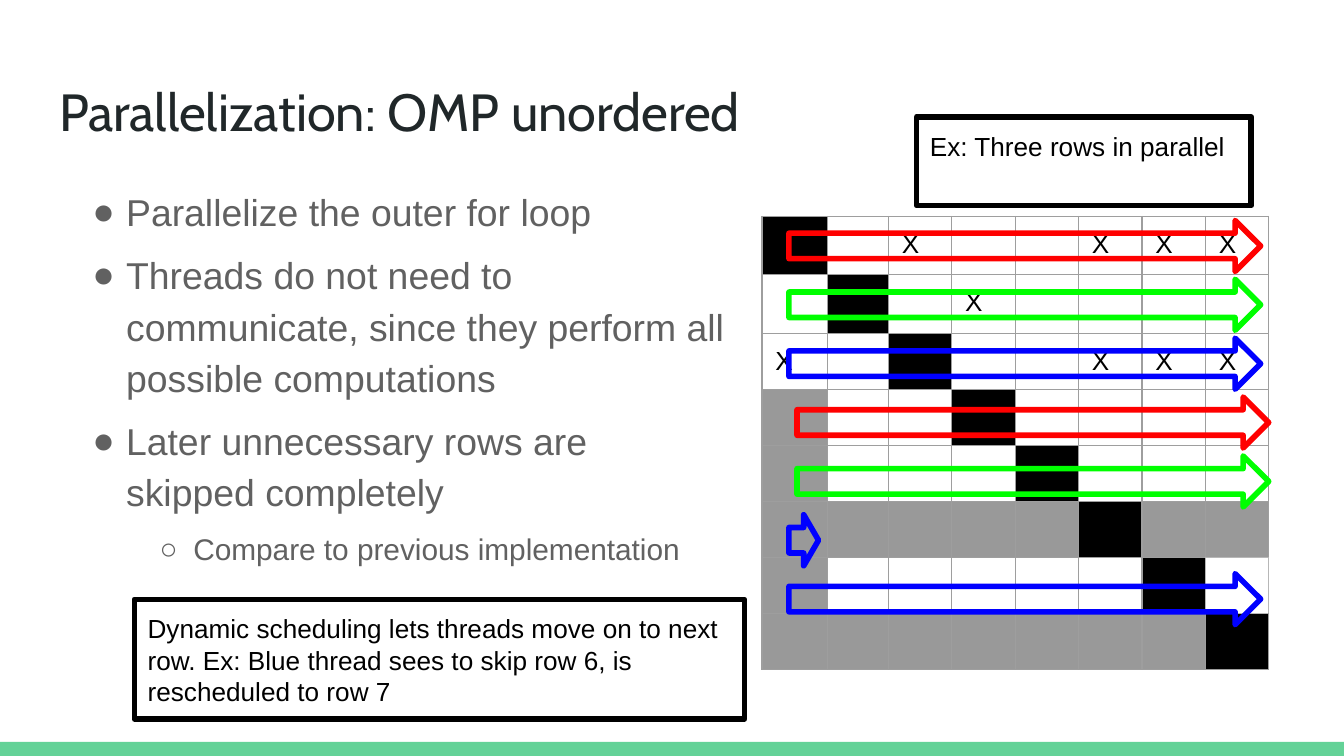
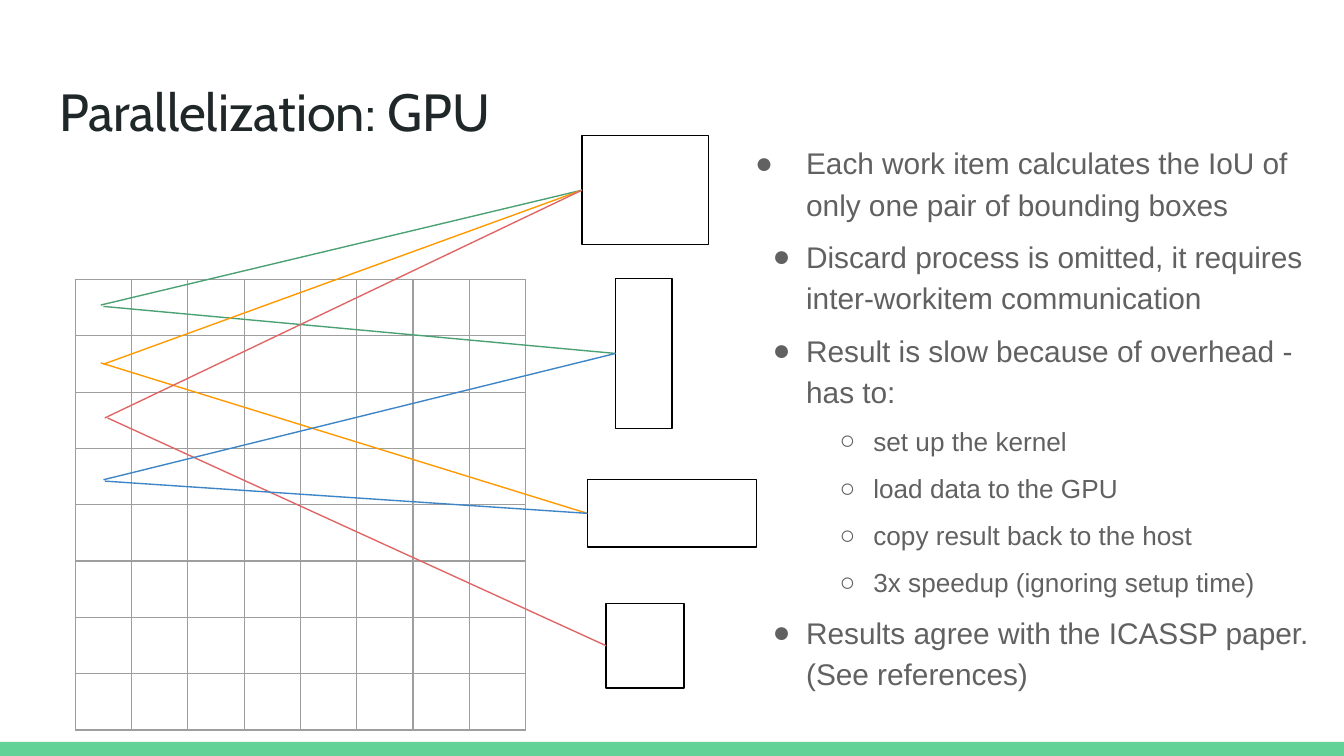
from typing import NamedTuple, Optional

from lxml import etree
from pptx import Presentation
from pptx import util as u
from pptx.dml.color import RGBColor
from pptx.enum import shapes, text
from pptx.oxml import ns

# The slide is a grid of 100 columns by 56.25 rows; one step is 0.1 inch.
STEP = u.Inches(0.1)
COLS, ROWS = 100, 56.25
INK, GREY, TITLE = "000000", "616161", "202729"
EDGE, PALE, SKIP = "9E9E9E", "B7B7B7", "999999"
MINT = "63D297"
RED, GREEN, BLUE = "FF0000", "00FF00", "0000FF"
FONT, HEAD = "Arial", "Cabin"
RECT = shapes.MSO_SHAPE.RECTANGLE
ARROW = shapes.MSO_SHAPE.RIGHT_ARROW
SIDES = {"lnL": (0, -1), "lnR": (0, 1), "lnT": (-1, 0), "lnB": (1, 0)}


class Box(NamedTuple):
    left: float
    top: float
    width: float
    height: float


class Item(NamedTuple):
    words: str
    size: int
    level: int = 0
    hang: float = 2.5


class Ray(NamedTuple):
    target: int
    x: float
    y: float
    color: str


BAND = Box(0, 55.2, COLS, ROWS - 55.2)
TOP = Box(3.4, 4.9, 93.2, 6.3)


def span(n: float) -> int:
    """Turn grid steps into a length."""
    return u.Emu(int(n * STEP))


def place(box: Box) -> list[int]:
    return [span(n) for n in box]


def rgb(code: str) -> RGBColor:
    return RGBColor.from_string(code)


def style(para, size: int, color: str, face: str = FONT) -> None:
    para.alignment = text.PP_ALIGN.LEFT
    for run in para.runs:
        run.font.size = u.Pt(size)
        run.font.name = face
        run.font.color.rgb = rgb(color)


def setup(frame) -> None:
    """Give a text frame equal insets, wrapping and top anchoring."""
    frame.word_wrap = True
    frame.auto_size = text.MSO_AUTO_SIZE.NONE
    frame.vertical_anchor = text.MSO_ANCHOR.TOP
    frame.margin_left = frame.margin_right = STEP
    frame.margin_top = frame.margin_bottom = STEP


def draw(slide, kind, box: Box, line: Optional[str] = None,
         width: float = 3, fill: Optional[str] = None):
    shape = slide.shapes.add_shape(kind, *place(box))
    shape.shadow.inherit = False
    if fill:
        shape.fill.solid()
        shape.fill.fore_color.rgb = rgb(fill)
    else:
        shape.fill.background()
    if line:
        shape.line.color.rgb = rgb(line)
        shape.line.width = u.Pt(width)
    else:
        shape.line.fill.background()
    return shape


def note(slide, box: Box, words: str) -> None:
    frame = draw(slide, RECT, box, INK).text_frame
    setup(frame)
    frame.text = words
    style(frame.paragraphs[0], 14, INK)


def start(deck, words: str):
    """Add a slide with its title and bottom band."""
    slide = deck.slides.add_slide(deck.slide_layouts[5])
    draw(slide, RECT, BAND, fill=MINT)
    title = slide.shapes.title
    title.left, title.top, title.width, title.height = place(TOP)
    setup(title.text_frame)
    title.text_frame.text = words
    style(title.text_frame.paragraphs[0], 28, TITLE, HEAD)
    return slide


def bullet(para, item: Item) -> None:
    props = para._p.get_or_add_pPr()
    props.set("marL", str(span(5 * (item.level + 1))))
    props.set("indent", str(-span(item.hang)))
    tint = etree.SubElement(props, ns.qn("a:buClr"))
    etree.SubElement(tint, ns.qn("a:srgbClr"), val=GREY)
    etree.SubElement(props, ns.qn("a:buFont"), typeface=FONT)
    etree.SubElement(props, ns.qn("a:buChar"), char="●○"[item.level])


def body(slide, box: Box, items: list[Item]) -> None:
    frame = slide.shapes.add_textbox(*place(box)).text_frame
    setup(frame)
    frame.text = "\n".join(item.words for item in items)
    for para, item in zip(frame.paragraphs, items):
        para.level = item.level
        bullet(para, item)
        para.line_spacing = 1.15
        para.space_after = u.Pt(6)
        style(para, item.size, GREY)


def border(cell, side: str, color: str) -> None:
    props = cell._tc.get_or_add_tcPr()
    line = etree.SubElement(props, ns.qn("a:" + side), w=str(u.Pt(0.75)))
    fill = etree.SubElement(line, ns.qn("a:solidFill"))
    etree.SubElement(fill, ns.qn("a:srgbClr"), val=color)


def matrix(slide, left: float, top: float, marks: list[str],
           wide: list[float], high: list[float],
           pale: Optional[tuple[int, int]] = None) -> None:
    """Draw a table: # is black, - is grey, X is a mark, . is empty."""
    box = Box(left, top, sum(wide), sum(high))
    table = slide.shapes.add_table(len(high), len(wide), *place(box)).table
    table.first_row = table.horz_banding = False
    for col, n in zip(table.columns, wide):
        col.width = span(n)
    for row, n in zip(table.rows, high):
        row.height = span(n)
    for r, line in enumerate(marks):
        for c, mark in enumerate(line):
            cell = table.cell(r, c)
            for side, (dr, dc) in SIDES.items():
                near = pale in ((r, c), (r + dr, c + dc))
                border(cell, side, PALE if near else EDGE)
            cell.margin_left = cell.margin_right = STEP
            cell.margin_top = cell.margin_bottom = span(0.2)
            if mark in "#-":
                cell.fill.solid()
                cell.fill.fore_color.rgb = rgb(INK if mark == "#" else SKIP)
            else:
                cell.fill.background()
            if mark == "X":
                cell.margin_top = STEP
                cell.text = mark
                style(cell.text_frame.paragraphs[0], 14, INK)


def link(slide, box, ray: Ray) -> None:
    """Join the left side of a box to a point in the matrix."""
    line = slide.shapes.add_connector(
        shapes.MSO_CONNECTOR.STRAIGHT, 0, 0, span(ray.x), span(ray.y))
    line.begin_connect(box, 1)
    line.line.color.rgb = rgb(ray.color)
    line.line.width = u.Pt(0.75)
    etree.SubElement(line._element.spPr, ns.qn("a:effectLst"))


def threads(deck) -> None:
    slide = start(deck, "Parallelization: OMP unordered")
    body(slide, Box(3.4, 12.6, 51.6, 41.7), [
        Item("Parallelize the outer for loop", 20),
        Item("Threads do not need to communicate, since they perform all "
             "possible computations", 20),
        Item("Later unnecessary rows are skipped completely", 20),
        Item("Compare to previous implementation", 16, 1),
    ])
    marks = ["#.X..XXX", ".#.X....", "X.#..XXX", "-..#....",
             "-...#...", "-----#--", "-.....#.", "-------#"]
    matrix(slide, 56.7, 16.1, marks, [4.9, 4.5] + [4.72] * 6,
           [4.35] * 2 + [4.17] * 6, pale=(6, 7))
    note(slide, Box(68.2, 8.7, 24.9, 6.6), "Ex: Three rows in parallel")
    near, far, full, short = 58.7, 59.3, 35.1, 2.2
    runs = [(near, full, RED), (near, full, GREEN), (near, full, BLUE),
            (far, full, RED), (far, full, GREEN),
            (near, short, BLUE), (near, full, BLUE)]
    for n, (left, width, color) in enumerate(runs):
        draw(slide, ARROW, Box(left, 16.4 + 4.38 * n, width, 3.8), color)
    note(slide, Box(10, 44.6, 45.4, 8.9),
         "Dynamic scheduling lets threads move on to next row. Ex: Blue "
         "thread sees to skip row 6, is rescheduled to row 7")


def gpu(deck) -> None:
    slide = start(deck, "Parallelization: GPU")
    matrix(slide, 5.6, 20.8, ["." * 8] * 8, [4.19] * 8, [4.19] * 8)
    bounds = [Box(43.3, 10.1, 9.4, 8.1), Box(45.8, 20.7, 4.2, 11.2),
              Box(43.7, 35.7, 12.6, 5), Box(45.1, 44.9, 5.8, 6.3)]
    boxes = [draw(slide, RECT, box, INK, 0.75) for box in bounds]
    green, gold, rose, blue = "4BA173", "FF9900", "E06666", "3D85C6"
    for ray in [
        Ray(0, 7.5, 22.7, green), Ray(1, 7.7, 22.8, green),
        Ray(0, 7.7, 27.1, gold), Ray(2, 7.5, 27, gold),
        Ray(0, 7.8, 31.1, rose), Ray(3, 8, 31.1, rose),
        Ray(1, 7.7, 35.7, blue), Ray(2, 7.8, 35.8, blue),
    ]:
        link(slide, boxes[ray.target], ray)
    steps = ["set up the kernel", "load data to the GPU",
             "copy result back to the host",
             "3x speedup (ignoring setup time)"]
    body(slide, Box(54, 9.4, 44.4, 42.3), [
        Item("Each work item calculates the IoU of only one pair of "
             "bounding boxes", 16, hang=3.8),
        Item("Discard process is omitted, it requires inter-workitem "
             "communication", 16),
        Item("Result is slow because of overhead - has to:", 16),
        *[Item(words, 14, 1) for words in steps],
        Item("Results agree with the ICASSP paper. (See references)", 16),
    ])


def main() -> None:
    deck = Presentation()
    deck.slide_width, deck.slide_height = span(COLS), span(ROWS)
    threads(deck)
    gpu(deck)
    deck.save("out.pptx")


if __name__ == "__main__":
    main()
